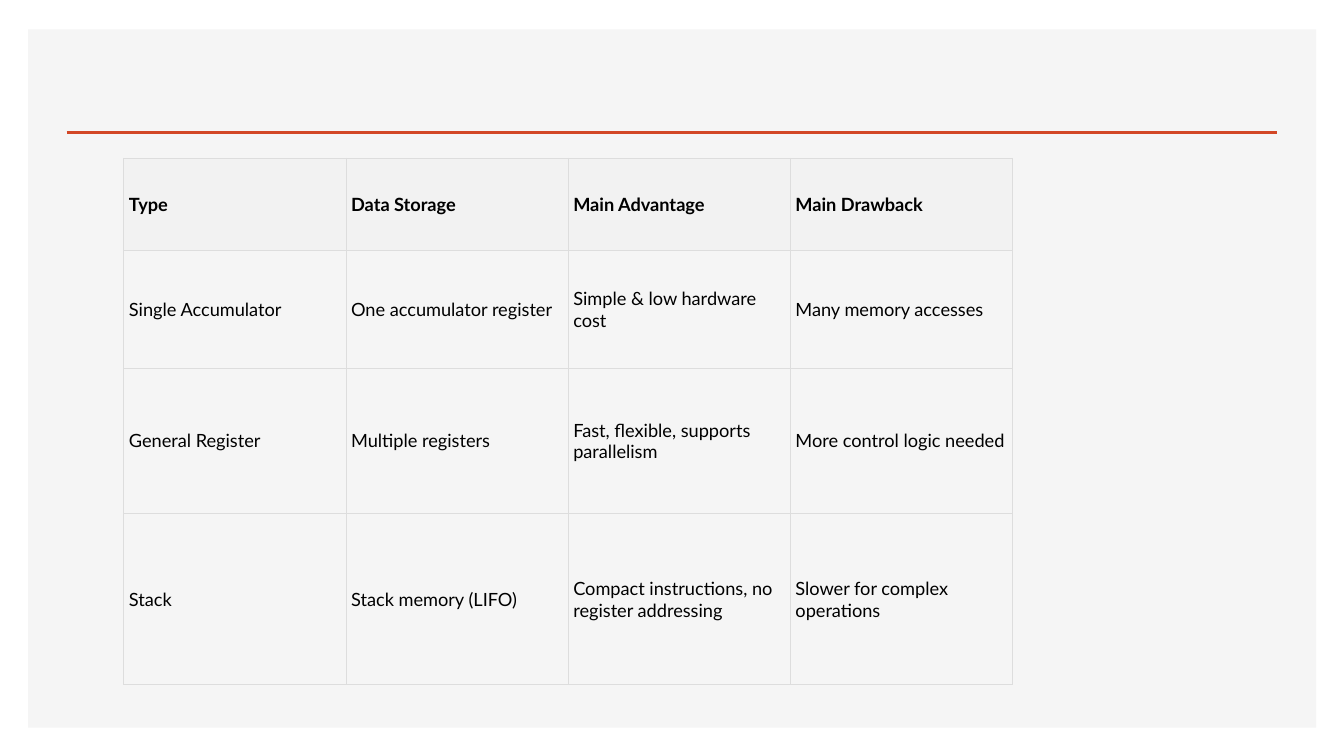
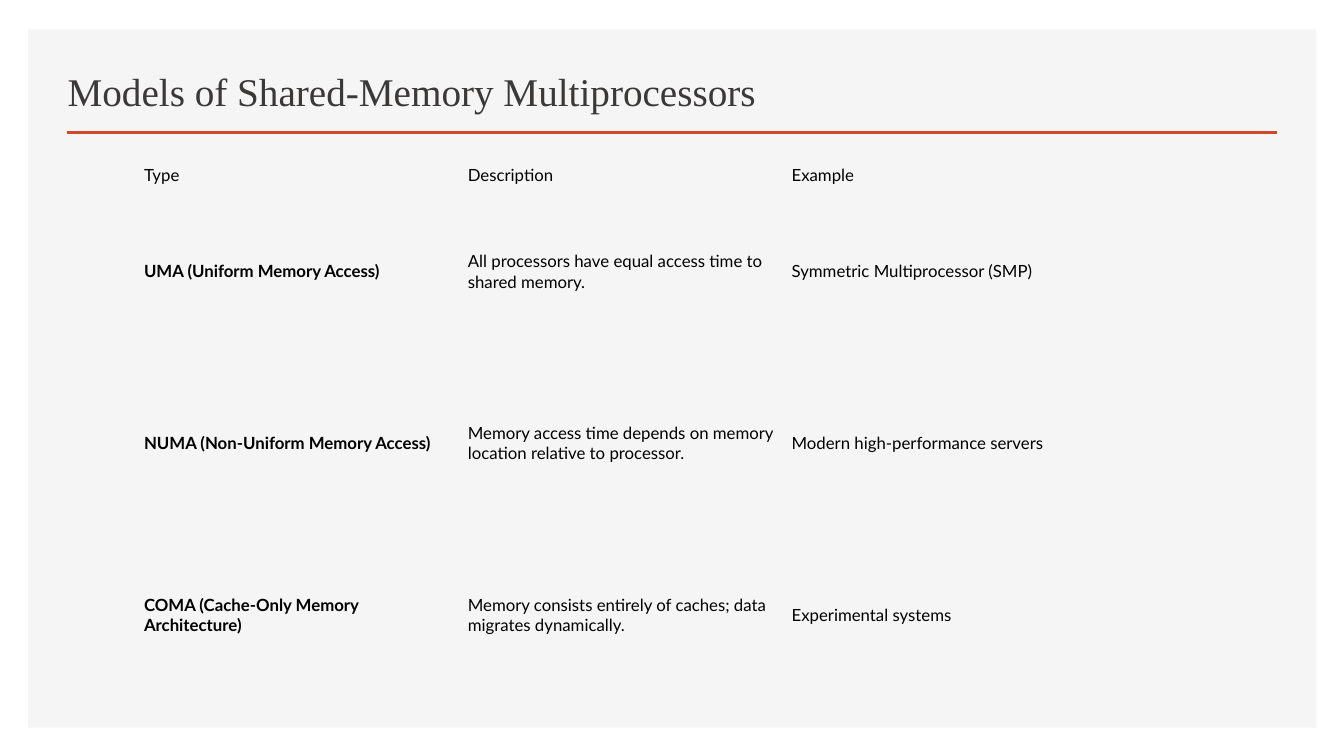
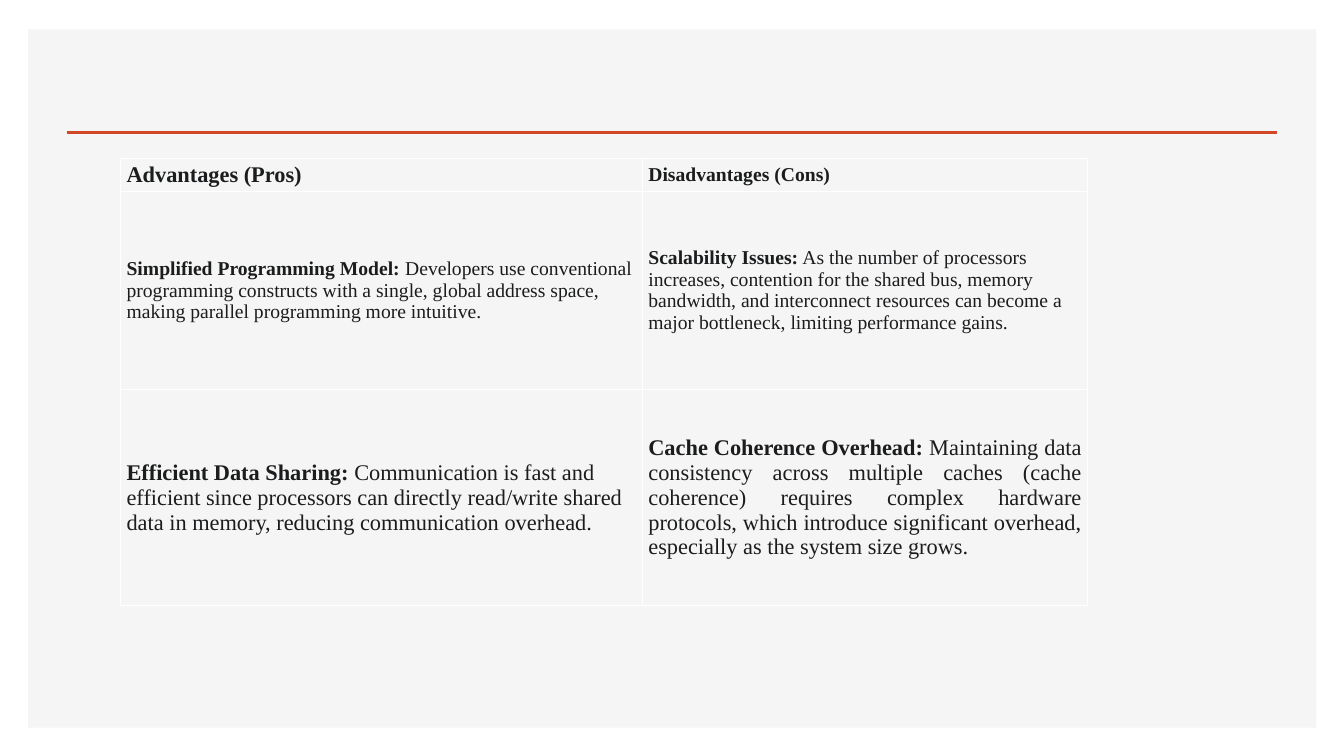
from dataclasses import dataclass
from typing import Optional

from pptx import Presentation
from pptx.dml.color import RGBColor
from pptx.enum.shapes import MSO_CONNECTOR as Link, MSO_SHAPE as Form
from pptx.enum.text import MSO_ANCHOR as Anchor, MSO_AUTO_SIZE as Fit, PP_ALIGN as Align
from pptx.oxml import parse_xml
from pptx.oxml.ns import nsdecls
from pptx.util import Cm, Pt

# Shared look
PANEL, RULE, TITLE = "F5F5F5", "D24726", "3B3838"
SERIF, SANS = "Times New Roman", "Lato"
TOP = 3.99  # upper edge of every table, in cm


@dataclass
class Cell:
    lead: str = ""  # bold opening words
    text: str = ""  # plain words after them
    size: Optional[float] = None
    just: bool = False


@dataclass
class Grid:
    left: float
    cols: list[float]
    rows: list[float]
    pad: tuple[float, float]  # side and upper/lower inset, in cm
    font: str
    size: float
    ink: str
    cells: list[list[Cell]]
    edge: Optional[str] = None
    head: Optional[str] = None


def rgb(code: str) -> RGBColor:
    return RGBColor.from_string(code)


def style(run, font: str, size: float, ink: str, bold: bool = False) -> None:
    run.font.name, run.font.size, run.font.bold = font, Pt(size), bold
    run.font.color.rgb = rgb(ink)


def dress(deck, slide) -> None:
    """Draw the panel and rule, then move them to the master."""
    panel = slide.shapes.add_shape(Form.RECTANGLE, Cm(0.71), Cm(0.74), Cm(32.46), Cm(17.6))
    panel.shadow.inherit = False
    panel.fill.solid()
    panel.fill.fore_color.rgb = rgb(PANEL)
    panel.line.fill.background()
    rule = slide.shapes.add_connector(Link.STRAIGHT, Cm(1.68), Cm(3.33), Cm(32.18), Cm(3.33))
    rule.line.color.rgb = rgb(RULE)
    rule.line.width = Pt(2)
    rule.element.spPr.append(parse_xml(f"<a:effectLst {nsdecls('a')}/>"))
    tree = deck.slide_master.shapes.element
    for spot, shape in enumerate((panel, rule), start=2):
        tree.insert(spot, shape.element)


def put_title(slide, text: str) -> None:
    title = slide.shapes.title
    title.left, title.top, title.width, title.height = Cm(1.45), Cm(1.24), Cm(30.25), Cm(1.78)
    frame = title.text_frame
    frame.text = text
    frame.auto_size, frame.vertical_anchor = Fit.NONE, Anchor.BOTTOM
    para = frame.paragraphs[0]
    para.alignment = Align.LEFT
    style(para.runs[0], SERIF, 28, TITLE)


def set_edge(cell, code: Optional[str]) -> None:
    """Give all four sides one line, or none."""
    fill = f'<a:solidFill><a:srgbClr val="{code}"/></a:solidFill>' if code else "<a:noFill/>"
    props = cell._tc.get_or_add_tcPr()
    for spot, side in enumerate("LRTB"):
        props.insert(spot, parse_xml(f'<a:ln{side} {nsdecls("a")} w="{Pt(0.6)}">{fill}</a:ln{side}>'))


def fill_cell(box, cell: Cell, grid: Grid, shade: Optional[str]) -> None:
    side, end = map(Cm, grid.pad)
    box.margin_left = box.margin_right = side
    box.margin_top = box.margin_bottom = end
    box.vertical_anchor = Anchor.MIDDLE
    if shade:
        box.fill.solid()
        box.fill.fore_color.rgb = rgb(shade)
    else:
        box.fill.background()
    set_edge(box, grid.edge)
    para = box.text_frame.paragraphs[0]
    para.alignment = Align.JUSTIFY if cell.just else Align.LEFT
    for text, bold in ((cell.lead, True), (cell.text, False)):
        if text:
            run = para.add_run()
            run.text = text
            style(run, grid.font, cell.size or grid.size, grid.ink, bold)


def put_grid(slide, grid: Grid) -> None:
    table = slide.shapes.add_table(
        len(grid.rows), len(grid.cols), Cm(grid.left), Cm(TOP), Cm(sum(grid.cols)), Cm(sum(grid.rows))
    ).table
    table.first_row = table.horz_banding = False
    for col, width in zip(table.columns, grid.cols):
        col.width = Cm(width)
    for row, high in zip(table.rows, grid.rows):
        row.height = Cm(high)
    for r, line in enumerate(grid.cells):
        for c, cell in enumerate(line):
            fill_cell(table.cell(r, c), cell, grid, None if r else grid.head)


def plain(*texts: str) -> list[Cell]:
    return [Cell(text=text) for text in texts]


def bold(*texts: str) -> list[Cell]:
    return [Cell(lead=text) for text in texts]


# Table contents
TYPES = Grid(
    3.12, [5.6] * 4, [2.32, 2.97, 3.66, 4.31], (0.13, 0.13), SANS, 13, "000000",
    [
        bold("Type", "Data Storage", "Main Advantage", "Main Drawback"),
        plain("Single Accumulator", "One accumulator register",
              "Simple & low hardware cost", "Many memory accesses"),
        plain("General Register", "Multiple registers",
              "Fast, flexible, supports parallelism", "More control logic needed"),
        plain("Stack", "Stack memory (LIFO)",
              "Compact instructions, no register addressing", "Slower for complex operations"),
    ],
    edge="DDDDDD", head="F2F2F2",
)
MODELS = Grid(
    3.45, [8.16] * 3, [0.84, 4.02, 4.64, 4.02], (0.18, 0.09), SANS, 12, "000000",
    [
        plain("Type", "Description", "Example"),
        bold("UMA (Uniform Memory Access)")
        + plain("All processors have equal access time to shared memory.",
                "Symmetric Multiprocessor (SMP)"),
        bold("NUMA (Non-Uniform Memory Access)")
        + plain("Memory access time depends on memory location relative to processor.",
                "Modern high-performance servers"),
        bold("COMA (Cache-Only Memory Architecture)")
        + plain("Memory consists entirely of caches; data migrates dynamically.",
                "Experimental systems"),
    ],
)
TRADES = Grid(
    3.04, [13.15, 11.22], [0.64, 5, 5.44], (0.15, 0.1), SERIF, 14, "1B1C1D",
    [
        [Cell("Advantages (Pros)", size=16), Cell("Disadvantages (Cons)")],
        [
            Cell("Simplified Programming Model:",
                 " Developers use conventional programming constructs with a single, global "
                 "address space, making parallel programming more intuitive."),
            Cell("Scalability Issues:",
                 " As the number of processors increases, contention for the shared bus, memory "
                 "bandwidth, and interconnect resources can become a major bottleneck, limiting "
                 "performance gains."),
        ],
        [
            Cell("Efficient Data Sharing:",
                 " Communication is fast and efficient since processors can directly read/write "
                 "shared data in memory, reducing communication overhead.", 16),
            Cell("Cache Coherence Overhead:",
                 " Maintaining data consistency across multiple caches (cache coherence) requires "
                 "complex hardware protocols, which introduce significant overhead, especially as "
                 "the system size grows.", 16, True),
        ],
    ],
    edge="FFFFFF",
)
PAGES = [("", TYPES), ("Models of Shared-Memory Multiprocessors", MODELS), ("", TRADES)]


def main() -> None:
    deck = Presentation()
    deck.slide_width, deck.slide_height = Cm(33.87), Cm(19.05)
    for title, grid in PAGES:
        slide = deck.slides.add_slide(deck.slide_layouts[5 if title else 6])
        if title:
            put_title(slide, title)
        put_grid(slide, grid)
    dress(deck, deck.slides[0])
    deck.save("out.pptx")


if __name__ == "__main__":
    main()
